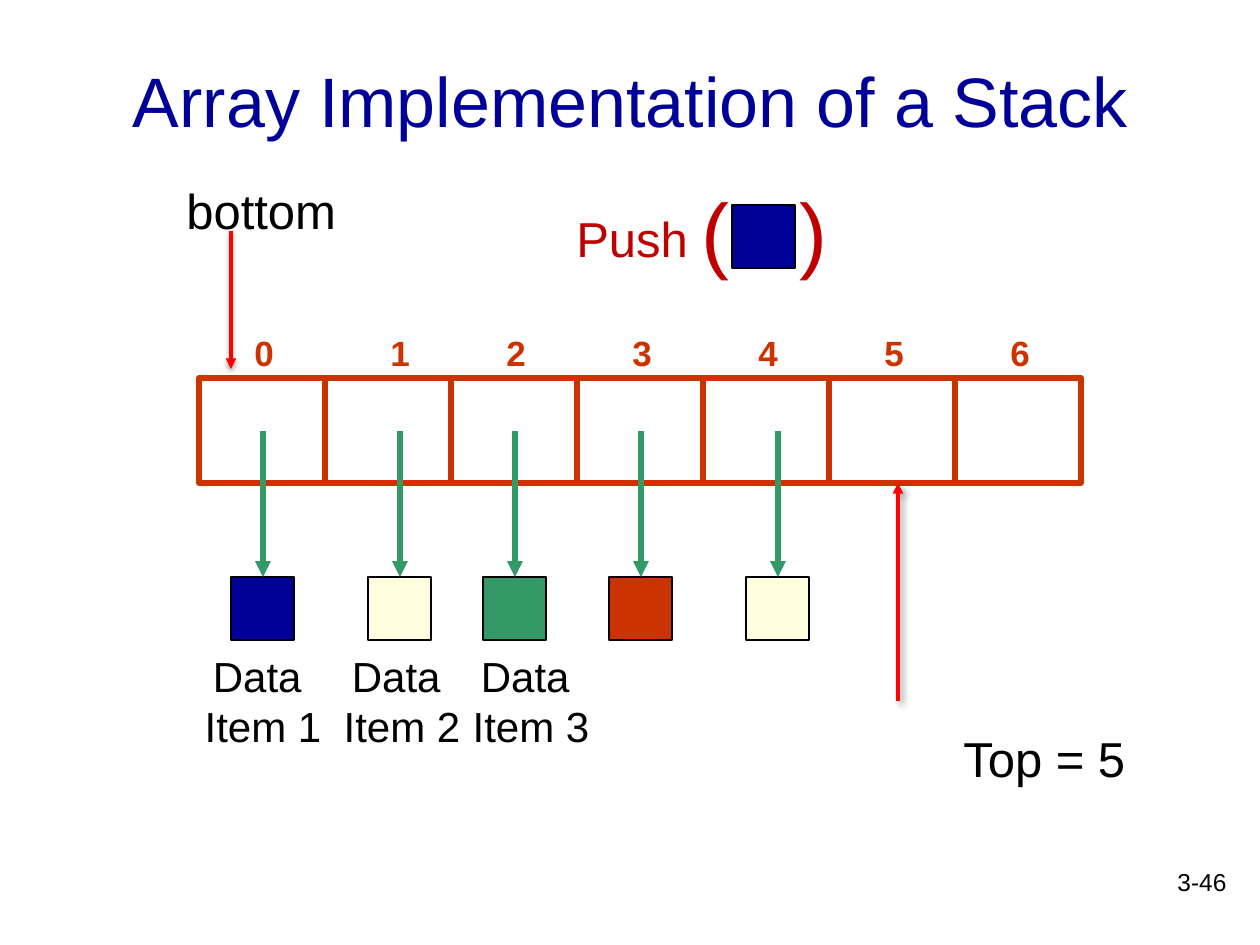
from dataclasses import dataclass

from lxml import etree
from pptx import Presentation
from pptx.dml.color import RGBColor
from pptx.enum import shapes, text
from pptx.oxml import ns
from pptx.slide import Slide
from pptx import util as u

PX = 914400 / 126
COLORS = {
    "navy": "000099", "rust": "CC3300", "green": "339966", "cream": "FFFFDF",
    "red": "FF0000", "crimson": "C00000", "black": "000000",
}


def px(length):
    return u.Emu(round(length * PX))


def rgb(name):
    return RGBColor.from_string(COLORS[name])


@dataclass
class StackSlide:
    """Draws the parts of a stack diagram in one style on the current slide."""

    slide: Slide
    font: str = "Arial"

    def label(self, words, left, top, width, height, size, color="black",
              align=text.PP_ALIGN.LEFT, anchor=text.MSO_ANCHOR.TOP, bold=False, tab=None):
        box = self.slide.shapes.add_textbox(px(left), px(top), px(width), px(height))
        frame = box.text_frame
        frame.word_wrap = True
        frame.vertical_anchor = anchor
        frame.text = words
        for line in frame.paragraphs:
            line.alignment = align
            if tab:
                stops = etree.SubElement(line._p.get_or_add_pPr(), ns.qn("a:tabLst"))
                etree.SubElement(stops, ns.qn("a:tab"), pos=str(px(tab)), algn="l")
            line.font.name = self.font
            line.font.size = u.Pt(size)
            line.font.bold = bold
            line.font.color.rgb = rgb(color)

    def box(self, left, top, width, height, fill=None, line="black", weight=0.75):
        box = self.slide.shapes.add_shape(
            shapes.MSO_SHAPE.RECTANGLE, px(left), px(top), px(width), px(height))
        box.shadow.inherit = False
        if fill:
            box.fill.solid()
            box.fill.fore_color.rgb = rgb(fill)
        else:
            box.fill.background()
        box.line.color.rgb = rgb(line)
        box.line.width = u.Pt(weight)

    def arrow(self, x, start, end, color, weight, shadow=None):
        arrow = self.slide.shapes.add_connector(
            shapes.MSO_CONNECTOR.STRAIGHT, px(x), px(start), px(x), px(end))
        arrow.line.color.rgb = rgb(color)
        arrow.line.width = u.Pt(weight)
        etree.SubElement(arrow.line._get_or_add_ln(), ns.qn("a:tailEnd"), type="triangle")
        effects = etree.SubElement(arrow._element.spPr, ns.qn("a:effectLst"))
        if shadow:
            opacity, blur, distance, angle = shadow
            cast = etree.SubElement(
                effects, ns.qn("a:outerShdw"), blurRad=str(u.Pt(blur)),
                dist=str(u.Pt(distance)), dir=str(angle * 60000), rotWithShape="0")
            shade = etree.SubElement(cast, ns.qn("a:srgbClr"), val=COLORS["black"])
            etree.SubElement(shade, ns.qn("a:alpha"), val=str(opacity * 1000))


def main():
    deck = Presentation()
    deck.slide_width, deck.slide_height = px(1260), px(945)
    stack = StackSlide(deck.slides.add_slide(deck.slide_layouts[6]))
    center = text.PP_ALIGN.CENTER

    stack.label("3-46", 977, 861, 262, 63, 14, align=text.PP_ALIGN.RIGHT)
    stack.label("Array Implementation of a Stack", 95, 21, 1071, 158, 40, "navy",
                center, text.MSO_ANCHOR.MIDDLE)

    for cell in range(7):
        stack.box(199 + 126 * cell, 378, 126, 105, line="rust", weight=3)

    items = [(231, "navy"), (368, "cream"), (483, "green"), (609, "rust"), (746, "cream")]
    for left, color in items:
        stack.box(left, 577, 63, 63, color)
        stack.arrow(left + 32, 431, 577, "green", 3)

    for index, left in enumerate([242, 378, 494, 620, 746, 872, 998]):
        stack.label(str(index), left, 325, 53, 54, 20, "rust", bold=True)

    for number, left in enumerate([191, 330, 459], start=1):
        stack.label(f"Data \nItem {number}", left, 644, 144, 115, 24, align=center)

    stack.label("Push", 564, 202, 151, 72, 28, "crimson")
    stack.label("(\t)", 689, 173, 176, 115, 48, "crimson", tab=98)
    stack.box(732, 205, 63, 63, "navy")

    stack.label("bottom", 174, 174, 178, 72, 28)
    stack.arrow(231, 231, 369, "red", 2, shadow=(38, 3.1, 1.6, 90))
    stack.label("Top = 5", 951, 722, 189, 72, 28)
    stack.arrow(898, 701, 483, "red", 2, shadow=(40, 4, 3, 45))

    deck.save("out.pptx")


if __name__ == "__main__":
    main()
